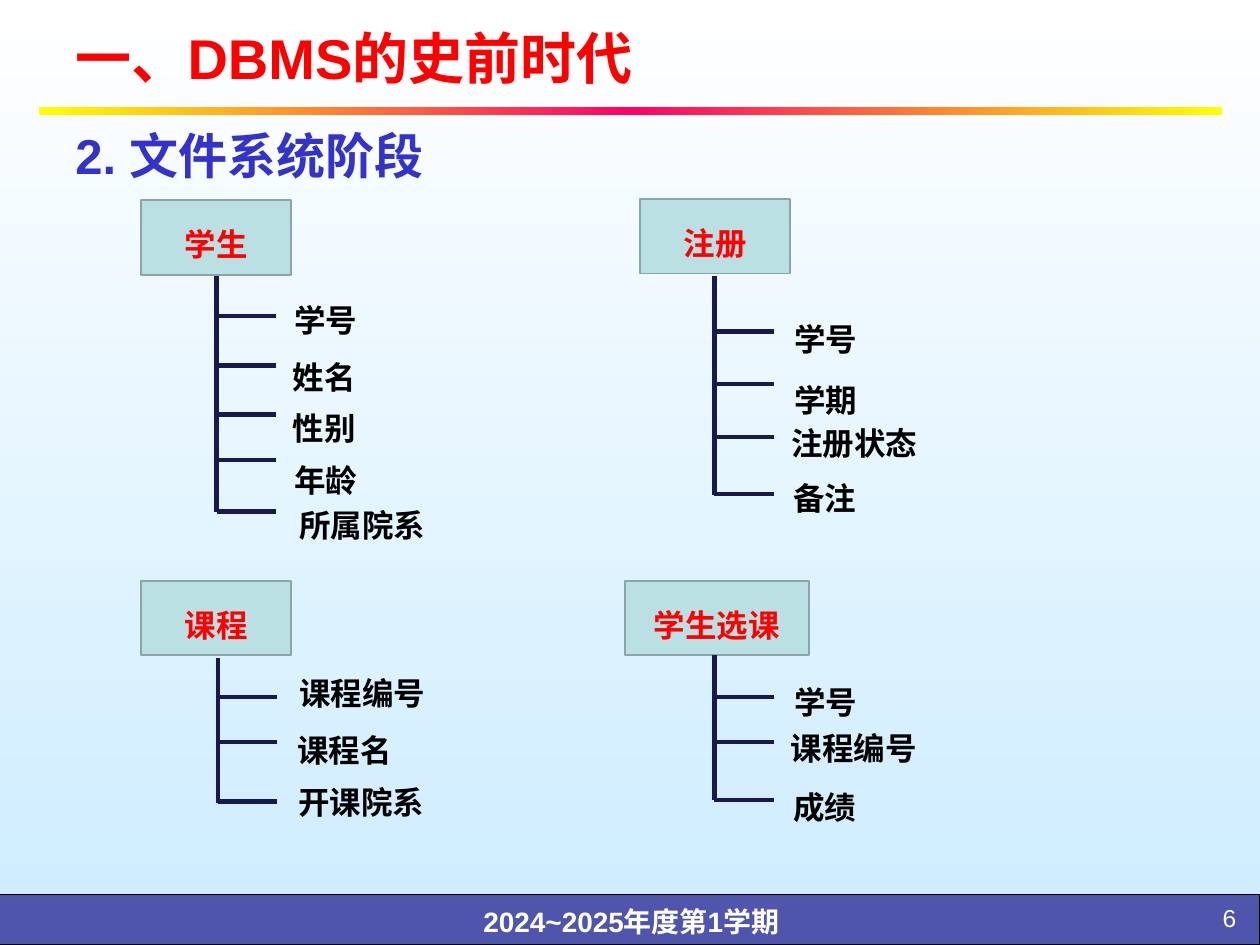
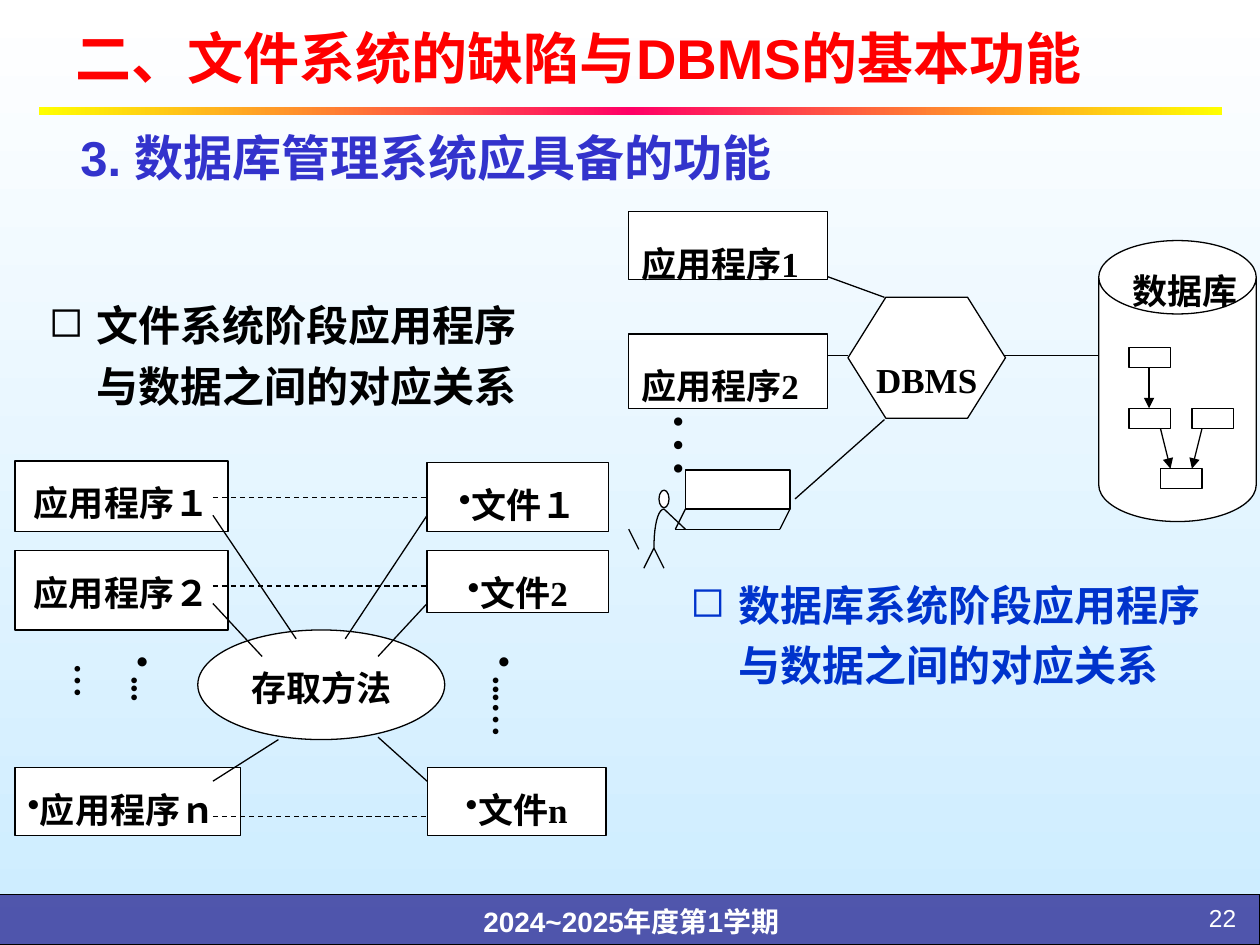
from copy import deepcopy

from lxml import etree
from pptx import Presentation
from pptx import util as u
from pptx.dml.color import RGBColor
from pptx.enum import dml, shapes, text
from pptx.oxml.ns import qn

WHITE = RGBColor(0xFF, 0xFF, 0xFF)
BLACK = RGBColor(0, 0, 0)
SKY = RGBColor(0xCC, 0xEC, 0xFF)
INDIGO = RGBColor(0x33, 0x33, 0x99)
YELLOW = RGBColor(0xFF, 0xFF, 0)
PINK = RGBColor(0xFF, 0, 0x66)
RED = RGBColor(0xFF, 0, 0)
HEADING_BLUE = RGBColor(0x33, 0x33, 0xCC)
NOTE_BLUE = RGBColor(0, 0x33, 0xCC)
TEAL = RGBColor(0xBB, 0xE0, 0xE3)
TEAL_EDGE = RGBColor(0x8A, 0xA6, 0xA8)
NAVY = RGBColor(0x19, 0x19, 0x4D)

SANS, CJK, SERIF = "Arial", "Noto Sans CJK SC", "Times New Roman"
SHAPE = shapes.MSO_SHAPE
LEFT, CENTER, RIGHT = text.PP_ALIGN.LEFT, text.PP_ALIGN.CENTER, text.PP_ALIGN.RIGHT
TOP, MIDDLE = text.MSO_ANCHOR.TOP, text.MSO_ANCHOR.MIDDLE
INSETS = (0.1, 0.05, 0.1, 0.05)


def inches(values):
    return [u.Inches(value) for value in values]


def add_child(parent, tag, **attributes):
    return etree.SubElement(parent, qn(tag), **attributes)


def write(frame, words, size=20, font=SERIF, color=BLACK, bold=True, align=CENTER,
          anchor=TOP, spacing=1.35, insets=INSETS, bullet=None, hanging=0, vertical=False):
    """Put one formatted paragraph into a text frame."""
    frame.word_wrap = True
    frame.vertical_anchor = anchor
    (frame.margin_left, frame.margin_top,
     frame.margin_right, frame.margin_bottom) = inches(insets)
    if vertical:
        frame._txBody.bodyPr.set("vert", "eaVert")
    paragraph = frame.paragraphs[0]
    paragraph.alignment = align
    paragraph.line_spacing = spacing
    if bullet:
        properties = paragraph._p.get_or_add_pPr()
        properties.set("marL", str(u.Inches(hanging)))
        properties.set("indent", str(-u.Inches(hanging)))
        add_child(properties, "a:buChar", char=bullet)
    run = paragraph.add_run()
    run.text = words
    run.font.size, run.font.name, run.font.bold = u.Pt(size), font, bold
    run.font.color.rgb = color
    add_child(run._r.rPr, "a:ea", typeface=CJK)


def paint_gradient(fill, colors, angle):
    fill.gradient()
    fill.gradient_angle = angle
    stops = fill.gradient_stops
    for index, color in enumerate(colors):
        stops[index].color.rgb = color
        stops[index].position = index / (len(colors) - 1)


class Deck:
    def __init__(self):
        self.show = Presentation()
        self.show.slide_width, self.show.slide_height = u.Inches(10), u.Inches(7.5)
        self.slide = None

    def start_slide(self, title, number):
        self.slide = self.show.slides.add_slide(self.show.slide_layouts[6])
        paint_gradient(self.slide.background.fill, [WHITE, SKY], 270)
        # Footer band
        band = self.shape((-0.01, 7.1, 10.01, 0.4), fill=INDIGO)
        add_child(band._element.spPr.find(".//" + qn("a:srgbClr")), "a:alpha", val="81000")
        self.label((2.69, 7.08, 4.64, 0.42), "2024~2025年度第1学期",
                   size=16, font=SANS, color=WHITE, spacing=1.2)
        self.label((8.94, 7.12, 0.97, 0.3), str(number), size=14, font=SANS,
                   color=WHITE, bold=False, align=RIGHT, spacing=1)
        # Rule under the title
        rule = self.shape((0.31, 0.85, 9.39, 0.06), edge=None)
        rule.fill.gradient()
        stops = rule._element.spPr.find(".//" + qn("a:gsLst"))
        stops.append(deepcopy(stops[0]))
        paint_gradient(rule.fill, [YELLOW, PINK, YELLOW], 0)
        self.heading((0.5, 0.07, 9, 0.76), title, size=32, color=RED)

    def heading(self, box, words, size=28, color=HEADING_BLUE):
        self.label(box, words, size=size, font=SANS, color=color,
                   align=LEFT, anchor=MIDDLE, spacing=1)

    def label(self, box, words, **style):
        write(self.slide.shapes.add_textbox(*inches(box)).text_frame, words, **style)

    def shape(self, box, words=None, kind=SHAPE.RECTANGLE, fill=WHITE, edge=BLACK,
              weight=0.75, adjust=None, **style):
        item = self.slide.shapes.add_shape(kind, *inches(box))
        item.shadow.inherit = False
        item.fill.solid()
        item.fill.fore_color.rgb = fill
        if edge is None:
            item.line.fill.background()
        else:
            item.line.color.rgb = edge
            item.line.width = u.Pt(weight)
        if adjust is not None:
            item.adjustments[0] = adjust
        if words:
            write(item.text_frame, words, **style)
        return item

    def line(self, x1, y1, x2, y2, color=BLACK, weight=0.75, dashed=False, arrow=False):
        link = self.slide.shapes.add_connector(
            shapes.MSO_CONNECTOR.STRAIGHT, *inches((x1, y1, x2, y2)))
        link.line.color.rgb = color
        link.line.width = u.Pt(weight)
        if dashed:
            link.line.dash_style = dml.MSO_LINE.DASH
        if arrow:
            add_child(link.line._get_or_add_ln(), "a:tailEnd", type="triangle")
        add_child(link._element.spPr, "a:effectLst")

    def curve(self, controls, steps=10):
        """Draw a cubic curve through its four control points."""
        points = []
        for step in range(steps + 1):
            t = step / steps
            weights = ((1 - t) ** 3, 3 * t * (1 - t) ** 2, 3 * t * t * (1 - t), t ** 3)
            points.append(inches(sum(w * p[axis] for w, p in zip(weights, controls))
                                 for axis in (0, 1)))
        builder = self.slide.shapes.build_freeform(*points[0])
        builder.add_line_segments(points[1:], close=False)
        bend = builder.convert_to_shape()
        bend.shadow.inherit = False
        bend.fill.background()
        bend.line.color.rgb = BLACK
        bend.line.width = u.Pt(0.75)

    def record(self, name, box, trunk, fields):
        """Draw a record type with its fields branching off a trunk."""
        style = dict(size=18, font=SANS, anchor=MIDDLE)
        self.shape((*box, 0.59), name, fill=TEAL, edge=TEAL_EDGE, weight=1, color=RED, **style)
        x, top, bottom = trunk
        self.line(x, top, x, bottom, NAVY, 2.5)
        for words, left, label_top, width, branch in fields:
            self.line(x + 0.47, branch, x, branch, NAVY, 2.5)
            self.label((left, label_top, width, 0.59), words, **style)


def build_file_system(deck):
    deck.start_slide("一、DBMS的史前时代", 6)
    deck.heading((0.5, 0.85, 9, 0.76), "2. 文件系统阶段")
    # Each field: words, left, top, width, height of its branch
    deck.record("学生", (1.12, 1.59, 1.19), (1.72, 2.19, 4.06), [
        ("学号", 1.99, 2.19, 1.19, 2.51),
        ("姓名", 1.98, 2.64, 1.19, 2.9),
        ("性别", 1.98, 3.05, 1.19, 3.29),
        ("年龄", 1.99, 3.46, 1.19, 3.65),
        ("所属院系", 1.92, 3.82, 1.91, 4.06)])
    deck.record("注册", (5.08, 1.58, 1.19), (5.67, 2.19, 3.93), [
        ("学号", 5.96, 2.34, 1.19, 2.63),
        ("学期", 5.96, 2.83, 1.19, 3.05),
        ("注册状态", 5.96, 3.17, 1.64, 3.47),
        ("备注", 5.95, 3.6, 1.19, 3.92)])
    deck.record("课程", (1.12, 4.61, 1.19), (1.73, 5.22, 6.37), [
        ("课程编号", 2.1, 5.15, 1.55, 5.53),
        ("课程名", 1.96, 5.6, 1.55, 5.89),
        ("开课院系", 2.09, 6.02, 1.55, 6.36)])
    deck.record("学生选课", (4.96, 4.61, 1.46), (5.67, 5.2, 6.35), [
        ("学号", 5.96, 5.22, 1.19, 5.53),
        ("课程编号", 6, 5.59, 1.55, 5.89),
        ("成绩", 5.95, 6.06, 1.19, 6.35)])


def draw_user_at_terminal(deck):
    deck.shape((5.44, 3.73, 0.83, 0.31))
    deck.shape((5.23, 3.89, 0.08, 0.14), kind=SHAPE.FLOWCHART_CONNECTOR)
    deck.curve([(5.27, 4.04), (5.22, 4.04), (5.19, 4.18), (5.19, 4.35)])
    for stroke in [(5.44, 4.04, 5.36, 4.2), (6.27, 4.04, 6.19, 4.2), (5.36, 4.2, 6.19, 4.2),
                   (5.19, 4.35, 5.27, 4.51), (5.19, 4.35, 5.11, 4.51),
                   (5.27, 4.04, 5.44, 4.2), (4.99, 4.2, 5.07, 4.36)]:
        deck.line(*stroke)


def draw_database_stage(deck):
    draw_user_at_terminal(deck)
    deck.shape((6.73, 2.36, 1.25, 0.96), "DBMS", kind=SHAPE.HEXAGON, adjust=0.313,
               insets=(0, 0.21, 0, 0.05))
    # Database with its linked records
    deck.shape((8.72, 1.91, 1.25, 2.23), kind=SHAPE.CAN, adjust=0.466)
    for left, top in [(8.96, 2.76), (8.96, 3.24), (9.46, 3.24), (9.21, 3.72)]:
        deck.shape((left, top, 0.33, 0.16))
    for pointer in [(9.12, 2.92, 9.12, 3.24), (9.21, 3.4, 9.29, 3.72), (9.54, 3.4, 9.46, 3.72)]:
        deck.line(*pointer, arrow=True)
    deck.shape((8.98, 2.02, 0.85, 0.32), "数据库", edge=None, insets=(0, 0, 0, 0))
    # Links to the DBMS
    for link in [(7.97, 2.82, 8.72, 2.82), (6.25, 2.08, 7.02, 2.36),
                 (6.31, 2.82, 6.73, 2.82), (6.31, 3.96, 7.02, 3.33)]:
        deck.line(*link)
    # Applications
    for words, top, height in [("应用程序1", 1.68, 0.54), ("应用程序2", 2.65, 0.59)]:
        deck.shape((4.99, top, 1.58, height), words, align=LEFT, insets=(0.1, 0.13, 0.1, 0.05))
    deck.label((5.09, 3.16, 1.11, 0.66), "…", size=40, bold=False, align=LEFT, vertical=True)


def draw_file_stage(deck):
    # Application and file boxes: words, left, top, width, height, bullet, alignment
    for words, left, top, width, height, bullet, align in [
            ("应用程序１", 0.12, 3.66, 1.69, 0.56, None, CENTER),
            ("文件１", 3.39, 3.67, 1.44, 0.55, "•", CENTER),
            ("应用程序２", 0.12, 4.37, 1.69, 0.63, None, CENTER),
            ("文件2", 3.39, 4.37, 1.44, 0.49, "•", CENTER),
            ("应用程序ｎ", 0.12, 6.09, 1.79, 0.54, "•", LEFT),
            ("文件n", 3.39, 6.09, 1.42, 0.54, "•", CENTER)]:
        deck.shape((left, top, width, height), words, bullet=bullet, align=align)
    for y in (3.95, 4.65, 6.48):
        deck.line(1.69, y, 3.39, y, dashed=True)
    # Access method and its links
    deck.shape((1.57, 5, 1.96, 0.87), "存取方法", kind=SHAPE.OVAL)
    for link in [(1.69, 4.09, 2.35, 5.07), (3.39, 4.09, 2.74, 5.07),
                 (1.69, 4.79, 2.08, 5.21), (3.39, 4.79, 3, 5.21),
                 (1.69, 6.2, 2.21, 5.87), (3.39, 6.2, 3, 5.85)]:
        deck.line(*link)
    for box in [(0.21, 5.17, 1.28, 0.74), (3.71, 5.17, 0.65, 0.81)]:
        deck.label(box, "...…", bullet="•", align=LEFT, vertical=True)


def build_dbms_functions(deck):
    deck.start_slide("二、文件系统的缺陷与DBMS的基本功能", 22)
    deck.heading((0.54, 0.96, 8.99, 0.57), "3. 数据库管理系统应具备的功能")
    draw_database_stage(deck)
    draw_file_stage(deck)
    # Captions of the two stages
    for stage, box, color, side in [("数据库系统", (5.44, 4.47, 4.23, 1.07), NOTE_BLUE, 0.04),
                                    ("文件系统", (0.29, 2.25, 4.08, 1.07), BLACK, 0.1)]:
        deck.label(box, f"{stage}阶段应用程序与数据之间的对应关系", size=24, font=CJK,
                   color=color, align=LEFT, spacing=1.2, bullet="◻", hanging=0.38,
                   insets=(side, 0.05, side, 0.05))


def main():
    deck = Deck()
    build_file_system(deck)
    build_dbms_functions(deck)
    deck.show.save("out.pptx")


if __name__ == "__main__":
    main()
